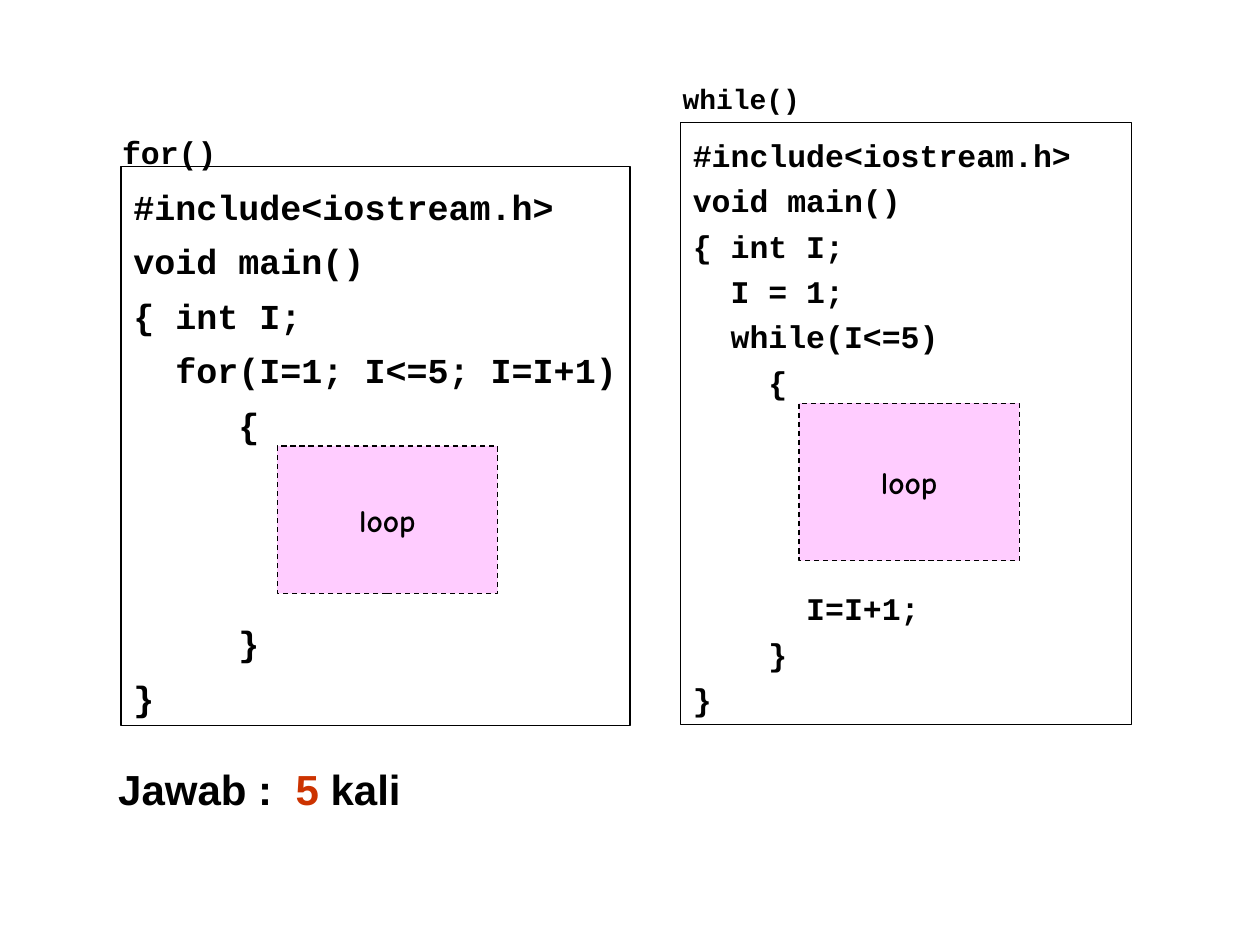
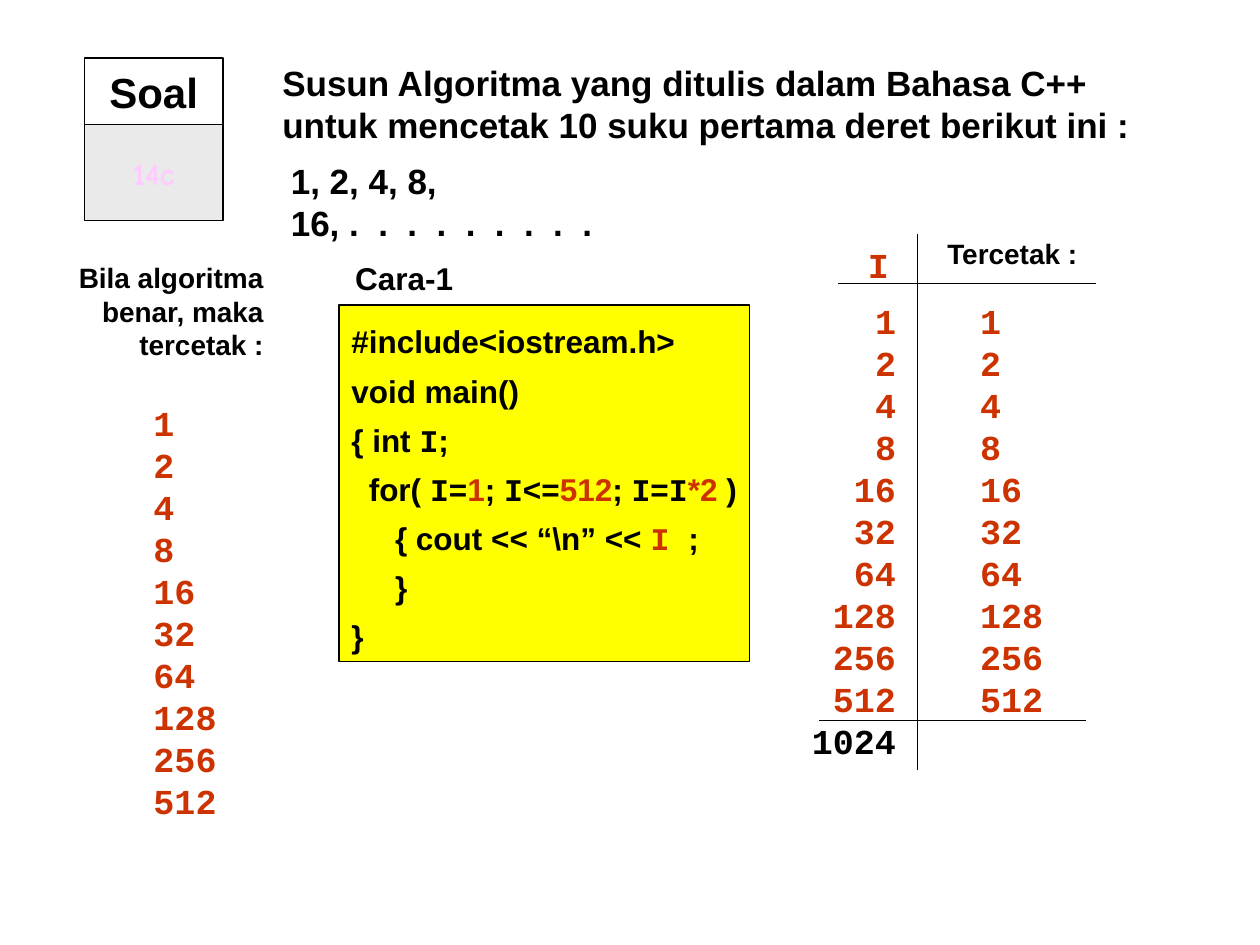
"""Build two slides on C++ loops: a loop count and a number series."""
import dataclasses

import lxml.etree
import pptx
import pptx.dml.color
import pptx.enum.dml
import pptx.enum.shapes
import pptx.enum.text
import pptx.oxml.ns
import pptx.util

Inches = pptx.util.Inches
ALIGN = pptx.enum.text.PP_ALIGN
ANCHOR = pptx.enum.text.MSO_ANCHOR
FIT = pptx.enum.text.MSO_AUTO_SIZE


@dataclasses.dataclass(frozen=True)
class Theme:
    """Colours, fonts and type sizes shared by the slides."""
    ink: str = "000000"
    red: str = "CC3300"
    pink: str = "FFCCFF"
    grey: str = "EAEAEA"
    yellow: str = "FFFF00"
    sans: str = "Arial"
    mono: str = "Courier New"
    comic: str = "Comic Neue"
    small: int = 16
    body: int = 18
    large: int = 20
    head: int = 24
    leading: float = 1.2
    rule: float = 0.75


T = Theme()


@dataclasses.dataclass(frozen=True)
class Style:
    """Look of the text in one box."""
    size: int = T.body
    font: str = T.sans
    color: str = T.ink
    align: ALIGN = ALIGN.LEFT
    pitch: float = 1.0
    wrap: bool = False
    middle: bool = False


@dataclasses.dataclass(frozen=True)
class Bit:
    """A run that differs from its paragraph."""
    text: str
    color: str = T.ink
    font: str = T.sans


CODE = Style(T.large, T.mono, pitch=1.3)
LOOP = Style(T.body, T.comic, align=ALIGN.CENTER, middle=True)
DIGITS = Style(T.large, T.mono, T.red)


def rgb(code):
    """Turn a hex code into a colour."""
    return pptx.dml.color.RGBColor.from_string(code)


def write(shape, lines, style, gaps=None):
    """Fill a shape with lines; gaps maps a line to the empty rows above it."""
    frame = shape.text_frame
    frame.word_wrap = style.wrap
    frame.auto_size = FIT.NONE if style.middle else FIT.SHAPE_TO_FIT_TEXT
    frame.vertical_anchor = ANCHOR.MIDDLE if style.middle else ANCHOR.TOP
    for row, line in enumerate(lines):
        para = frame.paragraphs[0] if row == 0 else frame.add_paragraph()
        para.alignment = style.align
        para.line_spacing = style.pitch
        if gaps and row in gaps:
            para.space_before = pptx.util.Pt(round(gaps[row] * style.size * T.leading * style.pitch, 1))
        para.font.size = pptx.util.Pt(style.size)
        para.font.bold = True
        para.font.name = style.font
        para.font.color.rgb = rgb(style.color)
        for bit in [line] if isinstance(line, str) else line:
            run = para.add_run()
            if isinstance(bit, str):
                run.text = bit
                continue
            run.text = bit.text
            run.font.name = bit.font
            run.font.color.rgb = rgb(bit.color)


def label(slide, place, lines, style):
    """Add a plain text box."""
    write(slide.shapes.add_textbox(*map(Inches, place)), lines, style)


def box(slide, place, lines, style, fill=None, dash=False, gaps=None):
    """Add an outlined rectangle with text."""
    shape = slide.shapes.add_shape(pptx.enum.shapes.MSO_SHAPE.RECTANGLE, *map(Inches, place))
    shape.shadow.inherit = False
    if fill:
        shape.fill.solid()
        shape.fill.fore_color.rgb = rgb(fill)
    else:
        shape.fill.background()
    shape.line.color.rgb = rgb(T.ink)
    shape.line.width = pptx.util.Pt(T.rule)
    if dash:
        shape.line.dash_style = pptx.enum.dml.MSO_LINE.DASH
    write(shape, lines, style, gaps)


def rule(slide, *ends):
    """Draw a thin straight line."""
    kind = pptx.enum.shapes.MSO_CONNECTOR.STRAIGHT
    line = slide.shapes.add_connector(kind, *map(Inches, ends))
    line.line.color.rgb = rgb(T.ink)
    line.line.width = pptx.util.Pt(T.rule)
    lxml.etree.SubElement(line._element.spPr, pptx.oxml.ns.qn("a:effectLst"))


def title(slide, place, text, style):
    """Move and format the title."""
    shape = slide.shapes.title
    shape.left, shape.top, shape.width, shape.height = map(Inches, place)
    write(shape, [text], style)


def count(deck):
    """Build the slide that counts the loops."""
    slide = deck.slides.add_slide(deck.slide_layouts[6])
    start = ["#include<iostream.h>", "void main()", "{ int I;"]
    box(slide, (0.96, 1.32, 4.04, 4.44),
        start + ["  for(I=1; I<=5; I=I+1)", "     {", "     }", "}"], CODE, gaps={5: 3})
    box(slide, (5.4, 0.97, 3.58, 4.78),
        start + ["  I = 1;", "  while(I<=5)", "    {", "      I=I+1;", "    }", "}"],
        Style(T.body, T.mono, pitch=1.2, wrap=True), gaps={6: 4})
    label(slide, (0.87, 1.01, 0.95, 0.4), ["for()"], Style(T.body, T.mono))
    label(slide, (5.32, 0.6, 1.13, 0.37), ["while()"], Style(T.small, T.mono))
    for place in ((6.34, 3.2, 1.75, 1.25), (2.2, 3.54, 1.75, 1.17)):
        box(slide, place, ["loop"], LOOP, T.pink, dash=True)
    label(slide, (0.84, 6.01, 2.53, 0.5), [["Jawab :  ", Bit("5 ", T.red), "kali"]], Style(T.head))


def series(deck):
    """Build the slide that prints the powers of two."""
    slide = deck.slides.add_slide(deck.slide_layouts[5])
    title(slide, (2.14, 0.44, 7.11, 0.77),
          "Susun Algoritma yang ditulis dalam Bahasa C++ untuk mencetak "
          "10 suku pertama deret berikut ini :", Style(T.large, wrap=True))
    box(slide, (0.67, 0.46, 1.1, 0.53), ["Soal"],
        Style(T.head, align=ALIGN.CENTER, middle=True))
    box(slide, (0.67, 0.99, 1.1, 0.76), ["14c"],
        dataclasses.replace(LOOP, color=T.pink), T.grey)
    label(slide, (2.21, 1.22, 3.83, 0.44),
          ["1, 2, 4, 8, 16, .  .  .  .  .  .  .  .  ."], Style(T.large))
    var = Bit("I", font=T.mono)
    box(slide, (2.69, 2.42, 3.26, 2.83), [
        "#include<iostream.h>",
        "void main()",
        ["{ int ", var, ";"],
        ["  for( ", var, "=", Bit("1", T.red), "; ", var, "<=", Bit("512", T.red),
         "; ", var, "=", var, Bit("*2", T.red), " )"],
        ["     { cout << “\\n” << ", Bit("I ", T.red, T.mono), ";"],
        "     }",
        "}"], Style(pitch=1.3), T.yellow)
    label(slide, (0.12, 2.02, 2.07, 0.9), ["Bila algoritma benar, maka tercetak :"],
          Style(T.small, align=ALIGN.RIGHT, wrap=True))
    label(slide, (2.72, 2.01, 0.98, 0.4), ["Cara-1"], Style())

    terms = [str(2 ** power) for power in range(10)]
    label(slide, (1.12, 3.14, 0.7, 3.44), terms, DIGITS)
    rule(slide, 6.65, 2.25, 8.7, 2.25)
    rule(slide, 7.28, 1.86, 7.28, 6.11)
    rule(slide, 6.5, 5.72, 8.62, 5.72)
    label(slide, (6.79, 1.88, 0.36, 0.44), ["I"], DIGITS)
    label(slide, (7.42, 1.83, 1.24, 0.37), ["Tercetak :"], Style(T.small))
    label(slide, (6.34, 2.33, 0.87, 3.77), terms + [[Bit("1024", font=T.mono)]],
          dataclasses.replace(DIGITS, align=ALIGN.RIGHT))
    label(slide, (7.68, 2.33, 0.7, 3.44), terms, DIGITS)


def main():
    """Build and save the deck."""
    deck = pptx.Presentation()
    deck.slide_width, deck.slide_height = Inches(10), Inches(7.5)
    count(deck)
    series(deck)
    deck.save("out.pptx")


if __name__ == "__main__":
    main()
